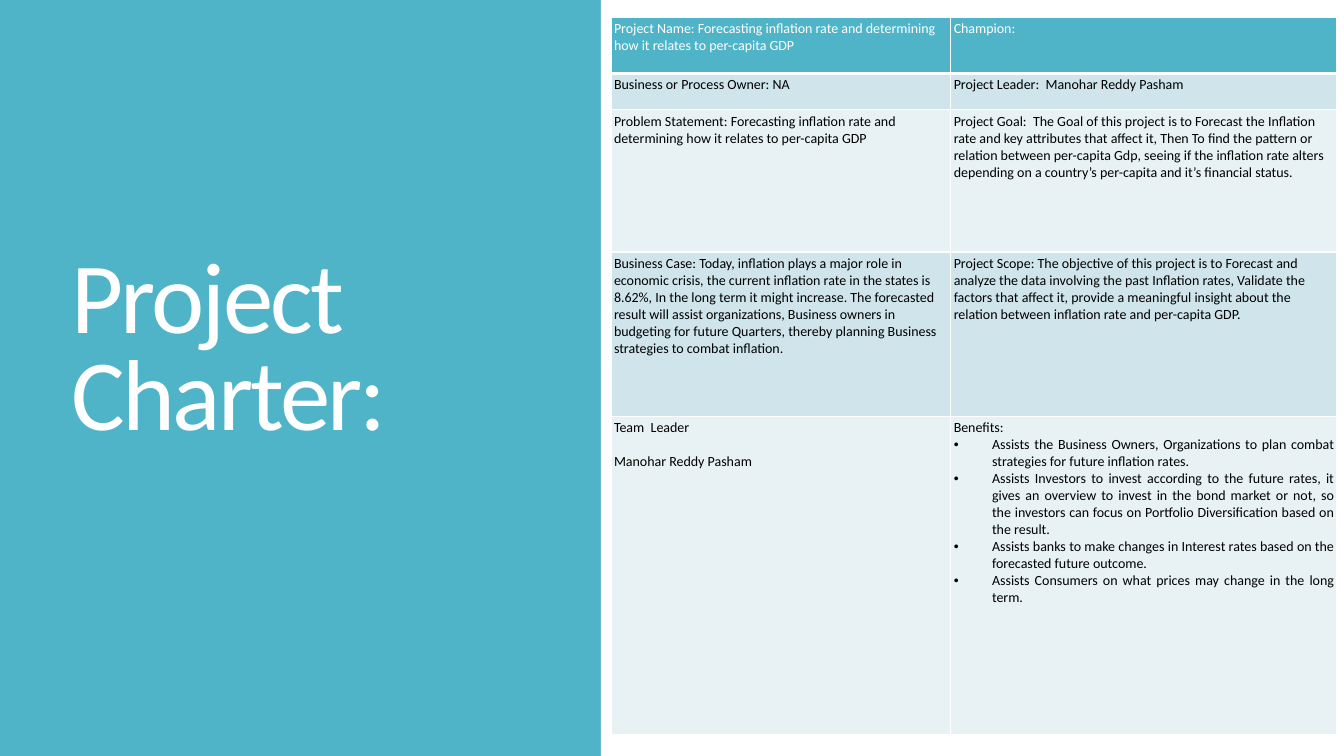
from lxml import etree
from pptx import Presentation
from pptx.dml.color import RGBColor
from pptx.enum.shapes import MSO_SHAPE
from pptx.enum.text import MSO_ANCHOR, PP_ALIGN
from pptx.oxml.ns import qn
from pptx.util import Inches, Pt

RECTANGLE = MSO_SHAPE.RECTANGLE
BOTTOM = MSO_ANCHOR.BOTTOM
JUSTIFY = PP_ALIGN.JUSTIFY
WIDTH, HEIGHT = 13.33, 7.5
FONT = "Calibri"
COLORS = {"teal": "50B4C8", "white": "FFFFFF", "black": "000000",
          "band": "CFE5EB", "pale": "E8F2F5"}
COLUMN_WIDTHS = [3.37, 3.83]
ROW_HEIGHTS = [0.56, 0.36, 1.41, 1.63, 3.16]
BULLET_INDENT = 0.38

CHARTER = [
    [["Project Name: Forecasting inflation rate and determining how it relates to per-capita GDP"],
     ["Champion:"]],
    [["Business or Process Owner: NA"],
     ["Project Leader:  Manohar Reddy Pasham"]],
    [["Problem Statement: Forecasting inflation rate and determining how it relates to per-capita GDP"],
     ["Project Goal:  The Goal of this project is to Forecast the Inflation rate and key attributes "
      "that affect it, Then To find the pattern or relation between per-capita Gdp, seeing if the "
      "inflation rate alters depending on a country’s per-capita and it’s financial status."]],
    [["Business Case: Today, inflation plays a major role in economic crisis, the current inflation "
      "rate in the states is 8.62%, In the long term it might increase. The forecasted result will "
      "assist organizations, Business owners in budgeting for future Quarters, thereby planning "
      "Business strategies to combat inflation."],
     ["Project Scope: The objective of this project is to Forecast and analyze the data involving "
      "the past Inflation rates, Validate the factors that affect it, provide a meaningful insight "
      "about the relation between inflation rate and per-capita GDP."]],
    [["Team  Leader", "Manohar Reddy Pasham"],
     ["Benefits:"]],
]
BENEFITS = [
    "Assists the Business Owners, Organizations to plan combat strategies for future inflation rates.",
    "Assists Investors to invest according to the future rates, it gives an overview to invest in "
    "the bond market or not, so the investors can focus on Portfolio Diversification based on the result.",
    "Assists banks to make changes in Interest rates based on the forecasted future outcome.",
    "Assists Consumers on what prices may change in the long term.",
]


def rgb(name):
    """Return the named colour."""
    return RGBColor.from_string(COLORS[name])


def add_panel(page, left, width, color):
    """Add a full-height colour panel."""
    panel = page.shapes.add_shape(RECTANGLE, Inches(left), 0, Inches(width), Inches(HEIGHT))
    panel.shadow.inherit = False
    panel.fill.solid()
    panel.fill.fore_color.rgb = rgb(color)
    panel.line.fill.background()


def add_text(frame, text, first=False, size=10, color="black", bullet=False,
             before=0, line_spacing=None, tracking=None):
    """Write one formatted paragraph into a text frame."""
    para = frame.paragraphs[0] if first else frame.add_paragraph()
    if bullet:
        props = para._p.get_or_add_pPr()
        props.set("marL", str(Inches(BULLET_INDENT)))
        props.set("indent", str(-Inches(BULLET_INDENT)))
        etree.SubElement(props, qn("a:buFont")).set("typeface", "Arial")
        etree.SubElement(props, qn("a:buChar")).set("char", "•")
        para.alignment = JUSTIFY
    if before:
        para.space_before = Pt(before)
    if line_spacing:
        para.line_spacing = line_spacing
    span = para.add_run()
    span.text = text
    span.font.name = FONT
    span.font.size = Pt(size)
    span.font.color.rgb = rgb(color)
    if tracking:
        span._r.get_or_add_rPr().set("spc", str(tracking * 100))


def add_title(page, text):
    """Add the large title at the left."""
    box = page.shapes.add_textbox(Inches(0.66), Inches(0.84), Inches(4.6), Inches(3.67))
    frame = box.text_frame
    frame.word_wrap = True
    frame.vertical_anchor = BOTTOM
    frame.margin_left = frame.margin_right = Inches(0.05)
    frame.margin_top = frame.margin_bottom = Inches(0.05)
    add_text(frame, text, first=True, size=72, color="white", line_spacing=0.8, tracking=-2)


def style_cell(cell, row):
    """Set the margins, borders and banded fill of a cell."""
    cell.margin_left = cell.margin_right = Inches(0.03)
    cell.margin_top = cell.margin_bottom = Inches(0.03)
    props = cell._tc.get_or_add_tcPr()
    widths = {"lnL": 1, "lnR": 1, "lnT": 3 if row == 1 else 1, "lnB": 3 if row == 0 else 1}
    for side, width in widths.items():
        line = etree.SubElement(props, qn(f"a:{side}"), w=str(Pt(width)))
        fill = etree.SubElement(line, qn("a:solidFill"))
        etree.SubElement(fill, qn("a:srgbClr"), val=COLORS["white"])
    cell.fill.solid()
    cell.fill.fore_color.rgb = rgb("teal" if row == 0 else "band" if row % 2 else "pale")


def add_charter(page):
    """Add the project charter table."""
    table = page.shapes.add_table(
        len(ROW_HEIGHTS), len(COLUMN_WIDTHS), Inches(6.06), Inches(0.17),
        Inches(sum(COLUMN_WIDTHS)), Inches(sum(ROW_HEIGHTS))).table
    for column, width in zip(table.columns, COLUMN_WIDTHS):
        column.width = Inches(width)
    for row, height in enumerate(ROW_HEIGHTS):
        table.rows[row].height = Inches(height)
        for column, texts in enumerate(CHARTER[row]):
            cell = table.cell(row, column)
            style_cell(cell, row)
            for index, text in enumerate(texts):
                add_text(cell.text_frame, text, first=index == 0, before=12 * index,
                         color="white" if row == 0 else "black")
    benefits = table.cell(len(ROW_HEIGHTS) - 1, 1).text_frame
    for text in BENEFITS:
        add_text(benefits, text, bullet=True)


def main():
    """Build and save the project charter slide."""
    deck = Presentation()
    deck.slide_width, deck.slide_height = Inches(WIDTH), Inches(HEIGHT)
    page = deck.slides.add_slide(deck.slide_layouts[6])
    page.background.fill.solid()
    page.background.fill.fore_color.rgb = rgb("teal")
    add_panel(page, 0, WIDTH, "teal")
    add_title(page, "Project Charter:")
    add_panel(page, 5.96, WIDTH - 5.96, "white")
    add_charter(page)
    deck.save("out.pptx")


if __name__ == "__main__":
    main()
